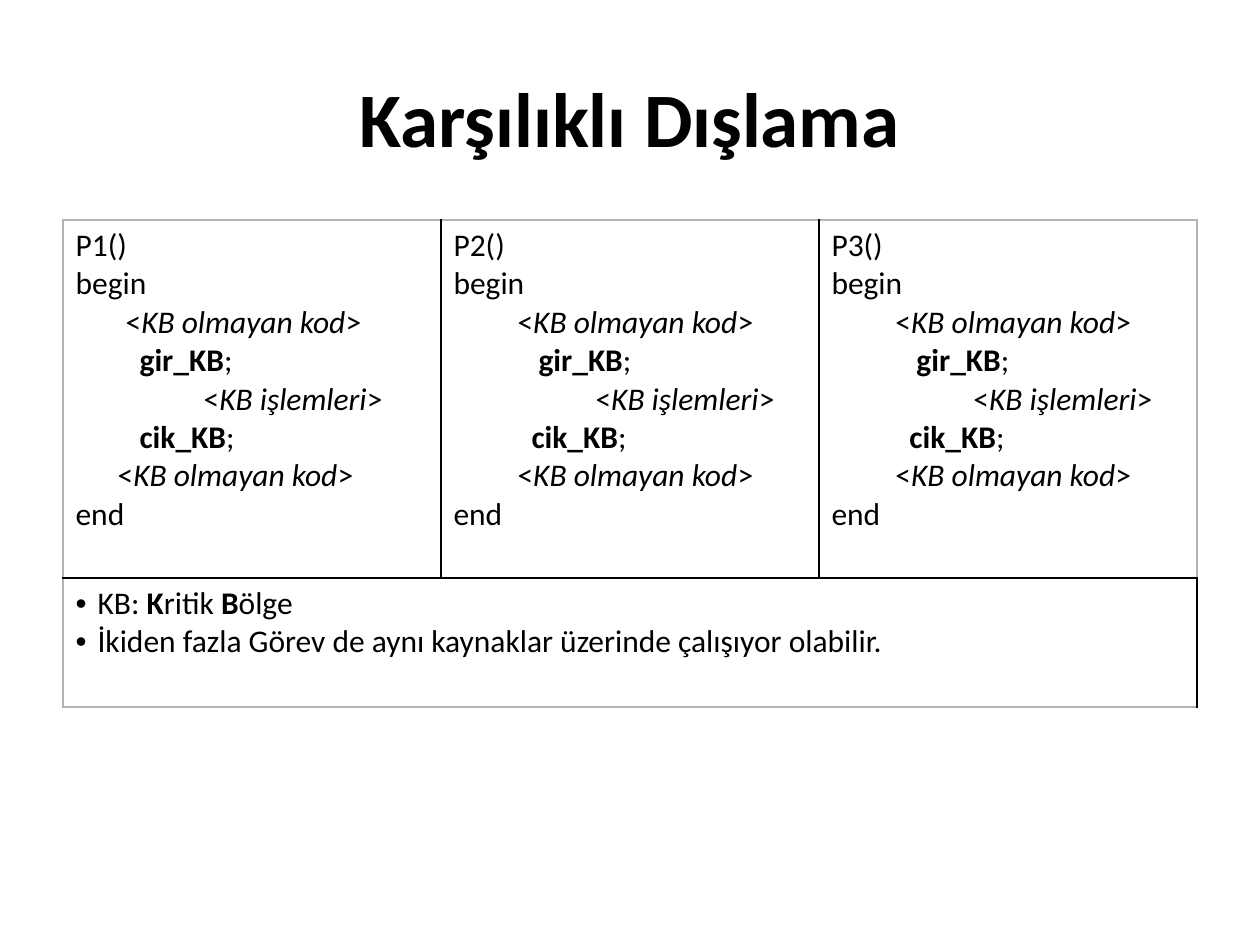
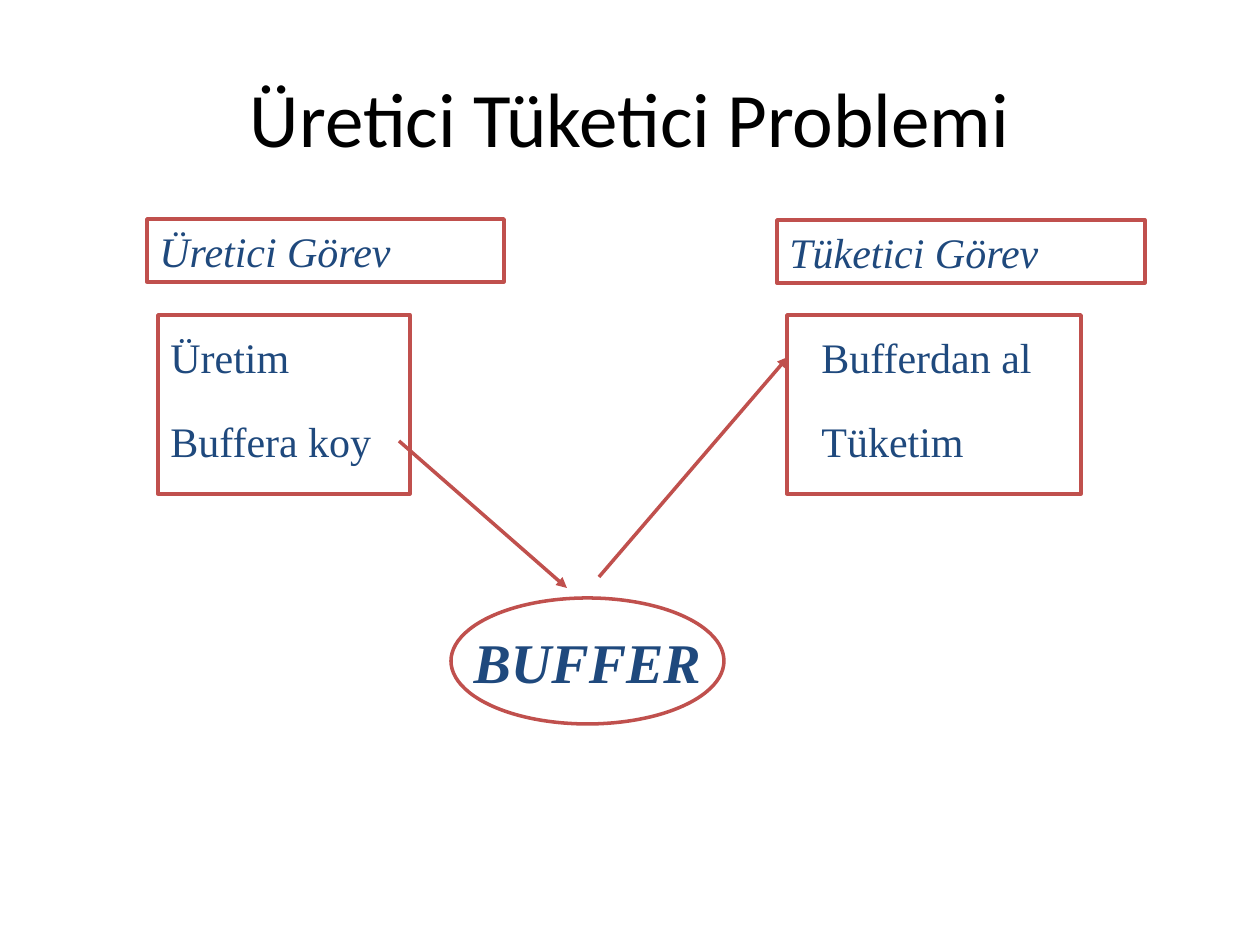
import pptx
import pptx.util
import pptx.dml.color
import pptx.enum.shapes
import pptx.enum.text
import pptx.oxml.ns
import lxml.etree

PX = 914400 // 126
HUES = {"ink": "000000", "edge": "B3B3B3", "navy": "1F497D",
        "red": "C0504D", "white": "FFFFFF"}
SANS, SERIF = "Calibri", "Times New Roman"
KIND = pptx.enum.shapes.MSO_SHAPE
MID = pptx.enum.text.MSO_ANCHOR.MIDDLE
TOP = pptx.enum.text.MSO_ANCHOR.TOP
LEFT = pptx.enum.text.PP_ALIGN.LEFT
MIDDLE = pptx.enum.text.PP_ALIGN.CENTER

BOLD, ITALIC = {"bold": True}, {"italic": True}
TITLE = {"size": 44, "name": SANS, "hue": "ink"}
CODE = {"size": 18, "name": SANS, "hue": "ink"}
LABEL = {"size": 24, "name": SERIF, "hue": "navy"}

# Mutual exclusion: each task runs the same code with its own indents
OUTER = [("<", {}), ("KB olmayan kod", ITALIC), (">", {})]
STEPS = [
    OUTER,
    [("gir_KB", BOLD), (";", {})],
    [("<", {}), ("KB işlemleri", ITALIC), (">", {})],
    [("cik_KB", BOLD), (";", {})],
    OUTER,
]
TASKS = [
    ("P1()", (50, 64, 128, 64, 42)),
    ("P2()", (64, 85, 142, 78, 64)),
    ("P3()", (64, 85, 142, 78, 64)),
]
NOTES = [
    [("KB: ", {}), ("K", BOLD), ("ritik ", {}), ("B", BOLD), ("ölge", {})],
    [("İkiden fazla Görev de aynı kaynaklar üzerinde çalışıyor olabilir.", {})],
]
GRID = (63, 220, 1134, 487)
ROWS = (358, 129)

# Producer and consumer: text, place, extra font values
HEADS = [
    ("Üretici Görev", (147, 219, 357, 63), ITALIC),
    ("Tüketici Görev", (777, 220, 368, 63), ITALIC),
]
FRAMES = [(158, 315, 252, 179), (787, 315, 294, 179)]
ACTS = [
    ("Üretim", (158, 325, 224, 64)),
    ("Buffera koy", (158, 409, 228, 64)),
    ("Bufferdan al", (809, 325, 248, 64)),
    ("Tüketim", (809, 409, 248, 64)),
]
STORE = ("BUFFER", (451, 598, 273, 126), {"size": 32, **BOLD, **ITALIC})
ARROWS = [(399, 441, 567, 588), (599, 577, 788, 357)]


def color(name):
    return pptx.dml.color.RGBColor.from_string(HUES[name])


def scale(nums):
    return [num * PX for num in nums]


def node(root, tag, **attrs):
    return lxml.etree.SubElement(root, pptx.oxml.ns.qn(tag), attrs)


def style(font, look):
    for key, val in look.items():
        if key == "hue":
            font.color.rgb = color(val)
        else:
            setattr(font, key, pptx.util.Pt(val) if key == "size" else val)


def write(para, runs, look):
    for text, extra in runs:
        run = para.add_run()
        run.text = text
        style(run.font, {**look, **extra})


def start(deck, title, extra):
    """Add a slide with the shared title style."""
    slide = deck.slides.add_slide(deck.slide_layouts[5])
    head = slide.shapes.title
    head.left, head.top, head.width, head.height = scale((63, 38, 1134, 158))
    head.text_frame.vertical_anchor = MID
    para = head.text_frame.paragraphs[0]
    para.alignment = MIDDLE
    write(para, [(title, extra)], TITLE)
    return slide


def fill(cell, lines):
    """Write (indent, runs, bullet) lines into a cell."""
    frame = cell.text_frame
    for num, (indent, runs, dot) in enumerate(lines):
        para = frame.add_paragraph() if num else frame.paragraphs[0]
        props = para._p.get_or_add_pPr()
        props.set("marL", str(indent * PX))
        props.set("indent", str(-indent * PX if dot else 0))
        if dot:
            node(props, "a:buFont", typeface="Arial")
            node(props, "a:buChar", char="•")
        write(para, runs, CODE)


def border(cell, row, col):
    """Draw grey lines on the rim of the table and black ones inside."""
    props = cell._tc.get_or_add_tcPr()
    rim = {"L": col == 0, "R": col == len(TASKS) - 1,
           "T": row == 0, "B": row == len(ROWS) - 1}
    for side, outer in rim.items():
        line = node(props, "a:ln" + side, w="12700")
        tint = node(line, "a:solidFill")
        node(tint, "a:srgbClr", val=HUES["edge" if outer else "ink"])
    cell.fill.background()


def exclude(deck):
    slide = start(deck, "Karşılıklı Dışlama", BOLD)
    grid = slide.shapes.add_table(len(ROWS), len(TASKS), *scale(GRID)).table
    grid.first_row = grid.horz_banding = False
    for row, high in enumerate(ROWS):
        grid.rows[row].height = high * PX
        for col in range(len(TASKS)):
            border(grid.cell(row, col), row, col)
    for col, (name, indents) in enumerate(TASKS):
        plain = [(0, [(word, {})], False) for word in (name, "begin", "end")]
        steps = [(indent, runs, False) for indent, runs in zip(indents, STEPS)]
        fill(grid.cell(0, col), plain[:2] + steps + plain[2:])
    foot = grid.cell(1, 0)
    foot.merge(grid.cell(1, len(TASKS) - 1))
    fill(foot, [(22, runs, True) for runs in NOTES])


def shape(slide, kind, box):
    item = slide.shapes.add_shape(kind, *scale(box))
    item.shadow.inherit = False
    item.fill.solid()
    item.fill.fore_color.rgb = color("white")
    item.line.color.rgb = color("red")
    item.line.width = pptx.util.Pt(2)
    return item


def label(item, text, extra, wrap=True, anchor=TOP, align=LEFT):
    frame = item.text_frame
    frame.word_wrap, frame.vertical_anchor = wrap, anchor
    para = frame.paragraphs[0]
    para.alignment = align
    write(para, [(text, extra)], LABEL)


def arrow(slide, ends):
    link = slide.shapes.add_connector(
        pptx.enum.shapes.MSO_CONNECTOR.STRAIGHT, *scale(ends))
    link.line.color.rgb = color("red")
    link.line.width = pptx.util.Pt(2)
    node(link.get_or_add_ln(), "a:tailEnd", type="triangle")
    node(link._element.spPr, "a:effectLst")


def produce(deck):
    slide = start(deck, "Üretici Tüketici Problemi", {})
    for text, box, extra in HEADS:
        label(shape(slide, KIND.RECTANGLE, box), text, extra)
    for box in FRAMES:
        shape(slide, KIND.RECTANGLE, box)
    for text, box in ACTS:
        label(slide.shapes.add_textbox(*scale(box)), text, {})
    text, box, extra = STORE
    label(shape(slide, KIND.OVAL, box), text, extra, False, MID, MIDDLE)
    for ends in ARROWS:
        arrow(slide, ends)


def main():
    deck = pptx.Presentation()
    deck.slide_width, deck.slide_height = map(pptx.util.Inches, (10, 7.5))
    exclude(deck)
    produce(deck)
    deck.save("out.pptx")


if __name__ == "__main__":
    main()
